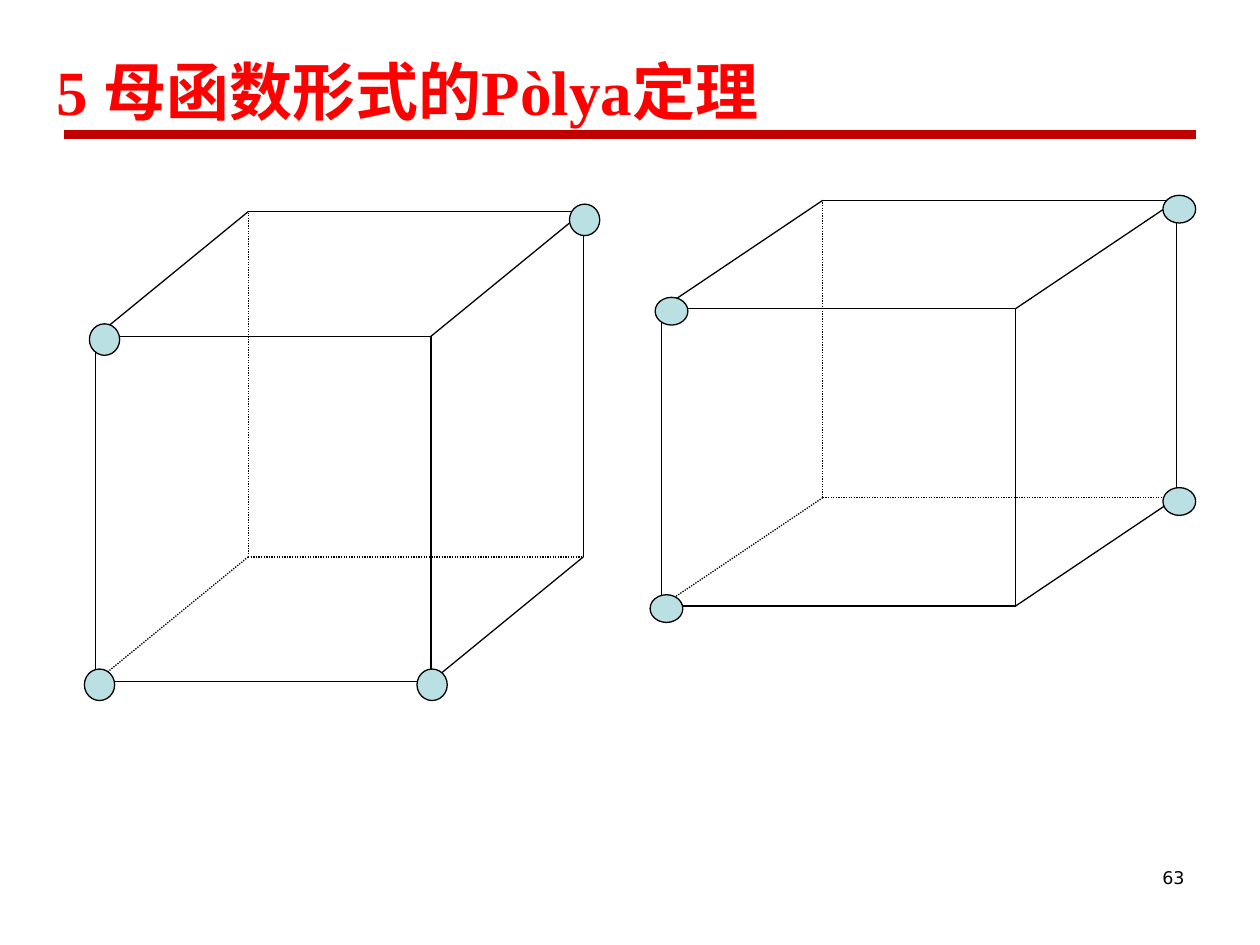
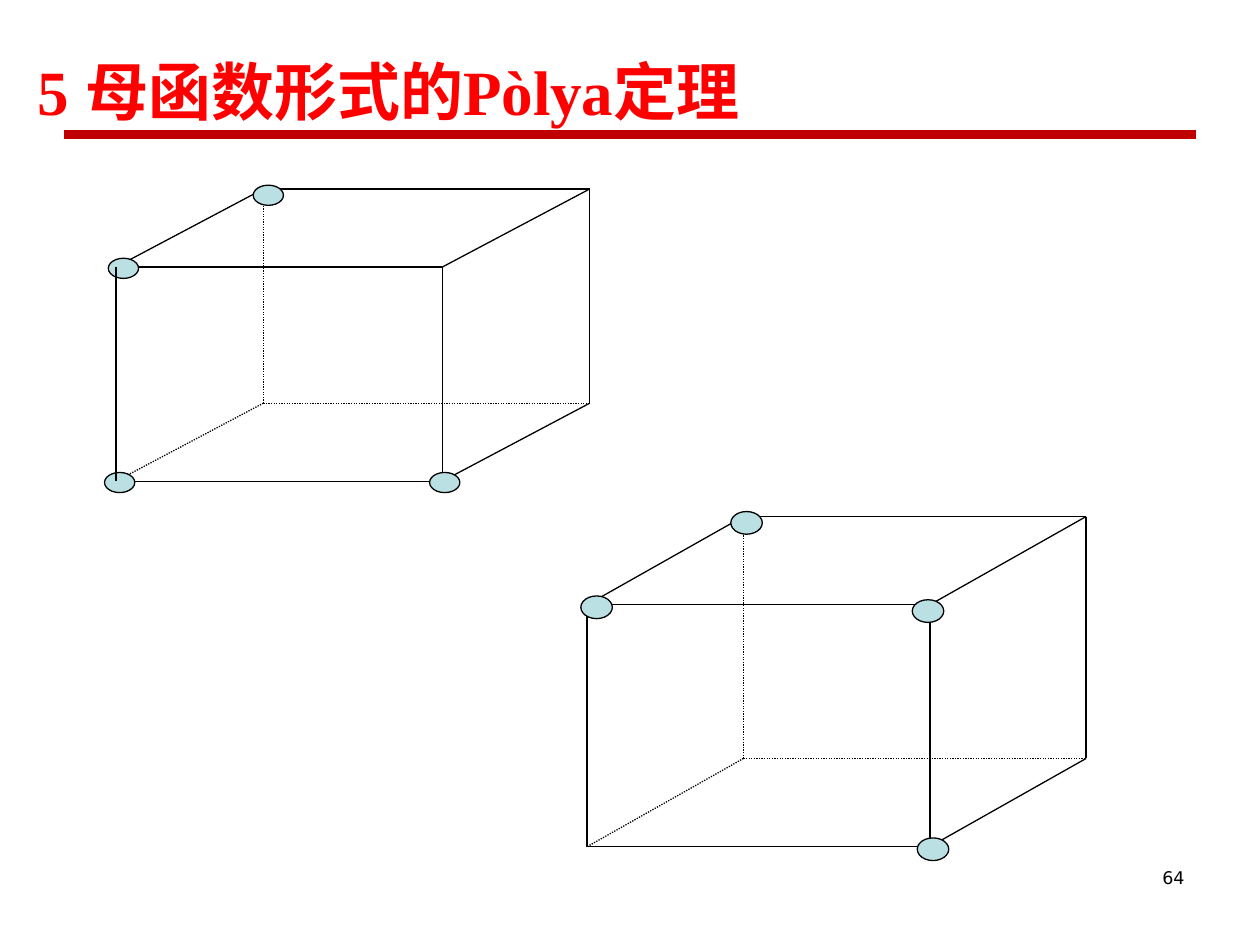
from lxml import etree
from pptx import Presentation
from pptx.dml.color import RGBColor
from pptx.enum import dml, shapes, text
from pptx.oxml import ns
from pptx.util import Inches, Pt

BLACK = "000000"
TITLE_RED = "FF0000"
RULE_RED = "C00000"
MARKER_BLUE = "BBE0E3"
TITLE = "5 母函数形式的Pòlya定理"

# Each edge joins two corners; a corner is (right, bottom, back) as 0 or 1.
LEFT_EDGE = ((0, 0, 0), (0, 1, 0))
VISIBLE_EDGES = [
    ((0, 0, 0), (1, 0, 0)), ((0, 1, 0), (1, 1, 0)), ((0, 0, 1), (1, 0, 1)),
    ((1, 0, 0), (1, 1, 0)), ((1, 0, 1), (1, 1, 1)),
    ((1, 0, 1), (1, 0, 0)), ((1, 1, 1), (1, 1, 0)), ((0, 0, 1), (0, 0, 0)),
]
HIDDEN_EDGES = [((0, 1, 1), corner) for corner in ((0, 1, 0), (0, 0, 1), (1, 1, 1))]

# Cube: front left, front top, width, height, depth across, depth up,
# marker size, marker positions, whether the left edge crosses its markers.
SLIDES = [
    {"number": "63", "title": (0.35, 0.28, 8.27, 0.79), "cubes": [
        (0.76, 2.67, 2.66, 2.74, 1.21, 0.99, (0.24, 0.25),
         [(0.71, 2.57), (0.67, 5.31), (4.52, 1.62), (3.31, 5.31)], False),
        (5.25, 2.45, 2.81, 2.36, 1.28, 0.86, (0.26, 0.22),
         [(5.2, 2.36), (5.16, 4.72), (9.23, 1.55), (9.23, 3.87)], False)]},
    {"number": "64", "title": (0.2, 0.36, 8.35, 0.71), "cubes": [
        (0.92, 2.12, 2.59, 1.7, 1.17, 0.62, (0.24, 0.16),
         [(0.86, 2.05), (0.83, 3.75), (2.01, 1.47), (3.41, 3.75)], True),
        (4.66, 4.8, 2.72, 1.92, 1.24, 0.7, (0.25, 0.18),
         [(4.61, 4.73), (7.24, 4.76), (5.8, 4.06), (7.28, 6.65)], False)]},
]


def color(value):
    return RGBColor.from_string(value)


def add_line(parent, start, end, line_color=BLACK, width=0.75):
    line = parent.shapes.add_connector(
        shapes.MSO_CONNECTOR.STRAIGHT, *map(Inches, (*start, *end)))
    line.line.color.rgb = color(line_color)
    line.line.width = Pt(width)
    etree.SubElement(line.element.spPr, ns.qn("a:effectLst"))
    return line


presentation = Presentation()
presentation.slide_width = Inches(10)
presentation.slide_height = Inches(7.5)
layout = presentation.slide_layouts[5]

for content in SLIDES:
    slide = presentation.slides.add_slide(layout)

    title = slide.shapes.title
    title.left, title.top, title.width, title.height = map(Inches, content["title"])
    frame = title.text_frame
    frame.auto_size = text.MSO_AUTO_SIZE.NONE
    frame.vertical_anchor = text.MSO_ANCHOR.BOTTOM
    paragraph = frame.paragraphs[0]
    paragraph.alignment = text.PP_ALIGN.LEFT
    run = paragraph.add_run()
    run.text = TITLE
    run.font.name = "Times New Roman"
    run.font.size = Pt(36)
    run.font.bold = True
    run.font.color.rgb = color(TITLE_RED)

    number_box = slide.shapes.add_textbox(*map(Inches, (7.17, 6.83, 2.33, 0.5)))
    number_box.text_frame.word_wrap = True
    paragraph = number_box.text_frame.paragraphs[0]
    paragraph.alignment = text.PP_ALIGN.RIGHT
    run = paragraph.add_run()
    run.text = content["number"]
    run.font.name = "DejaVu Sans"
    run.font.size = Pt(10)
    run.font.color.rgb = color(BLACK)

    for left, top, width, height, across, up, size, markers, edge_on_top in content["cubes"]:
        cube = slide.shapes.add_group_shape()
        points = {
            (right, bottom, back): (left + right * width + back * across,
                                    top + bottom * height - back * up)
            for right in (0, 1) for bottom in (0, 1) for back in (0, 1)}

        for start, end in VISIBLE_EDGES:
            add_line(cube, points[start], points[end])
        for start, end in HIDDEN_EDGES:
            edge = add_line(cube, points[start], points[end])
            edge.line.dash_style = dml.MSO_LINE.ROUND_DOT
        left_edge = add_line(cube, *(points[corner] for corner in LEFT_EDGE))

        for position in markers:
            marker = cube.shapes.add_shape(
                shapes.MSO_SHAPE.OVAL, *map(Inches, (*position, *size)))
            marker.shadow.inherit = False
            marker.fill.solid()
            marker.fill.fore_color.rgb = color(MARKER_BLUE)
            marker.line.color.rgb = color(BLACK)
            marker.line.width = Pt(0.75)
        if edge_on_top:
            cube.shapes.element.append(left_edge.element)

# The rule under the title belongs to the layout, so every slide shows it.
rule = add_line(presentation.slides[0], (0.51, 1.07), (9.49, 1.07), RULE_RED, 5)
layout.shapes.element.append(rule.element)

presentation.save("out.pptx")
